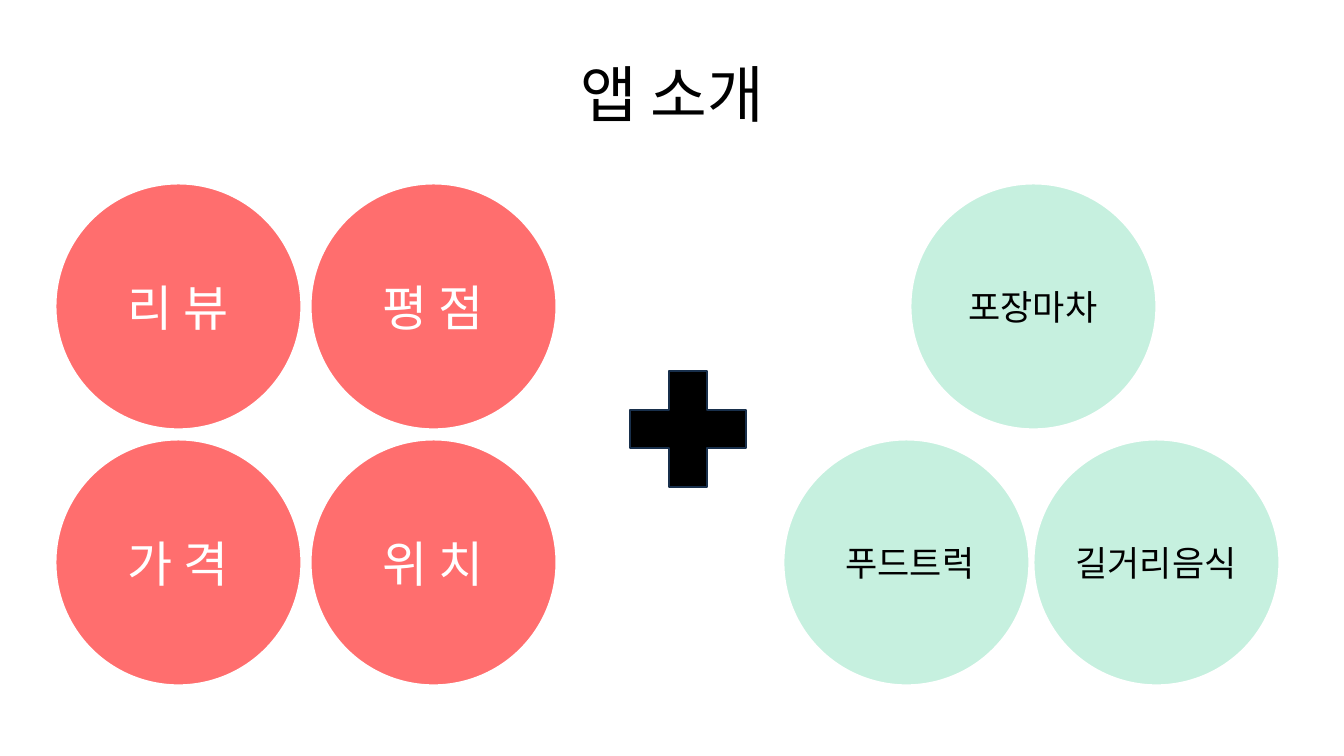
from dataclasses import dataclass

import pptx
import pptx.dml.color
import pptx.enum.shapes
import pptx.enum.text
import pptx.oxml
import pptx.oxml.ns
import pptx.util

PX = 9144  # EMU per px, 100 px to the inch
FONT = "Noto Sans CJK KR"
COLORS = {
    "red": "FF0000",
    "mint": "9BE5C8",
    "white": "FFFFFF",
    "black": "000000",
    "navy": "182F4B",
}
OPACITY = 57
DIAMETER = 244
TOP_ROW, BOTTOM_ROW = 182, 436


@dataclass
class Style:
    fill: str
    text: str
    size: int
    label_height: int


@dataclass
class Bubble:
    label: str
    left: int
    top: int
    style: Style
    label_width: int = 173
    shift: int = 0


FEATURE = Style("red", "white", 35, 68)
FOOD = Style("mint", "black", 25, 52)

BUBBLES = [
    Bubble("리 뷰", 55, TOP_ROW, FEATURE),
    Bubble("평 점", 308, TOP_ROW, FEATURE),
    Bubble("가 격", 55, BOTTOM_ROW, FEATURE),
    Bubble("위 치", 308, BOTTOM_ROW, FEATURE),
    Bubble("포장마차", 903, TOP_ROW, FOOD),
    Bubble("푸드트럭", 777, BOTTOM_ROW, FOOD, shift=4),
    Bubble("길거리음식", 1025, BOTTOM_ROW, FOOD, label_width=189),
]


def rgb(name: str) -> pptx.dml.color.RGBColor:
    return pptx.dml.color.RGBColor.from_string(COLORS[name])


def write(frame, text: str, size: int, color: str) -> None:
    """Fill a text frame with one centred paragraph."""
    frame.text = text
    frame.word_wrap = True
    para = frame.paragraphs[0]
    para.alignment = pptx.enum.text.PP_ALIGN.CENTER
    para.font.size = pptx.util.Pt(size)
    para.font.color.rgb = rgb(color)
    para.font.name = FONT
    # East Asian typeface for the Hangul
    latin = para._p.pPr.find(".//" + pptx.oxml.ns.qn("a:latin"))
    east_asian = pptx.oxml.parse_xml(
        f'<a:ea {pptx.oxml.ns.nsdecls("a")} typeface="{FONT}"/>')
    latin.addnext(east_asian)


def add_filled(page, kind, left: int, top: int, size: int, fill: str, line: str):
    """Add a square-framed preset shape with a fill and an outline."""
    shape = page.shapes.add_shape(kind, left * PX, top * PX, size * PX, size * PX)
    shape.shadow.inherit = False
    shape.fill.solid()
    shape.fill.fore_color.rgb = rgb(fill)
    shape.line.color.rgb = rgb(line)
    shape.line.width = pptx.util.Pt(1.5)
    return shape


def add_bubble(page, bubble: Bubble) -> None:
    style = bubble.style
    circle = add_filled(page, pptx.enum.shapes.MSO_SHAPE.OVAL, bubble.left,
                        bubble.top, DIAMETER, style.fill, "white")
    color = circle._element.spPr.find(".//" + pptx.oxml.ns.qn("a:srgbClr"))
    color.append(pptx.oxml.parse_xml(
        f'<a:alpha {pptx.oxml.ns.nsdecls("a")} val="{OPACITY * 1000}"/>'))

    # Label centred on the circle
    left = bubble.left + (DIAMETER - bubble.label_width) // 2 + bubble.shift
    top = bubble.top + (DIAMETER - style.label_height) // 2
    box = page.shapes.add_textbox(left * PX, top * PX, bubble.label_width * PX,
                                  style.label_height * PX)
    write(box.text_frame, bubble.label, style.size, style.text)
    box.text_frame.auto_size = pptx.enum.text.MSO_AUTO_SIZE.SHAPE_TO_FIT_TEXT


def main() -> None:
    deck = pptx.Presentation()
    deck.slide_width, deck.slide_height = 1333 * PX, 750 * PX
    page = deck.slides.add_slide(deck.slide_layouts[5])

    # Title
    title = page.shapes.title
    title.left, title.top = 67 * PX, 30 * PX
    title.width, title.height = 1200 * PX, 125 * PX
    write(title.text_frame, "앱 소개", 44, "black")
    title.text_frame.vertical_anchor = pptx.enum.text.MSO_ANCHOR.MIDDLE

    # Features and street food
    for bubble in BUBBLES:
        add_bubble(page, bubble)

    # Plus sign between the two groups
    plus = add_filled(page, pptx.enum.shapes.MSO_SHAPE.MATH_PLUS,
                      604, 347, 157, "black", "navy")
    plus.adjustments[0] = 0.24

    deck.save("out.pptx")


if __name__ == "__main__":
    main()
